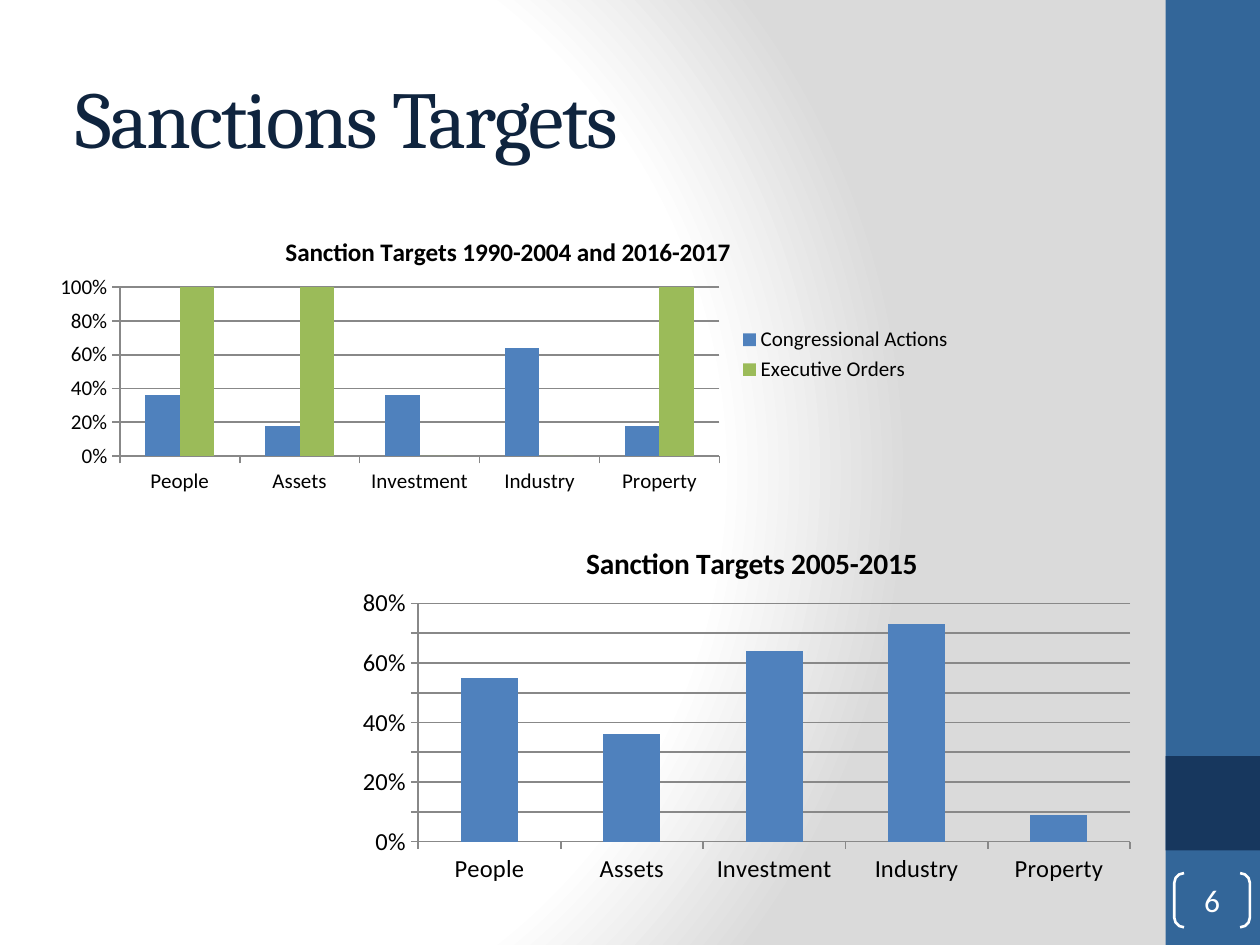
from dataclasses import dataclass

from lxml.etree import SubElement
from pptx import Presentation
from pptx.chart.data import CategoryChartData
from pptx.dml.color import RGBColor
from pptx.enum.chart import XL_CHART_TYPE, XL_LEGEND_POSITION, XL_TICK_MARK
from pptx.enum.shapes import MSO_SHAPE
from pptx.enum.text import MSO_ANCHOR, PP_ALIGN
from pptx.oxml import parse_xml
from pptx.oxml.ns import nsdecls, qn
from pptx.util import Inches, Pt


@dataclass(frozen=True)
class Theme:
    heading_font: str = "Cambria"
    body_font: str = "Calibri"
    heading: str = "0F243E"
    sidebar: str = "336699"
    sidebar_band: str = "17375E"
    text: str = "000000"
    white: str = "FFFFFF"
    shade: str = "DADADA"
    axis: str = "888888"
    blue: str = "4F81BD"
    green: str = "9BBB59"
    heading_size: float = 46
    number_size: float = 18
    chart_title_scale: float = 1.2


def color(value):
    return RGBColor.from_string(value)


def set_layout(parent, chart_area, left, top, width=None, height=None):
    """Place a chart part, given in slide inches, as fractions of the chart area."""
    area_left, area_top, area_width, area_height = chart_area
    layout = parent.find(qn("c:layout"))
    if layout is None:
        layout = parse_xml(f"<c:layout {nsdecls('c')}/>")
        text = parent.find(qn("c:tx"))
        if text is None:
            parent.insert(0, layout)
        else:
            text.addnext(layout)
    for child in list(layout):
        layout.remove(child)
    manual = SubElement(layout, qn("c:manualLayout"))
    values = {"xMode": "edge", "yMode": "edge",
              "x": (left - area_left) / area_width,
              "y": (top - area_top) / area_height}
    if width is not None:
        values = {"layoutTarget": "inner", **values,
                  "w": width / area_width, "h": height / area_height}
    for name, value in values.items():
        SubElement(manual, qn(f"c:{name}")).set("val", str(value))


class SlideBuilder:
    def __init__(self, slide, theme):
        self.slide = slide
        self.theme = theme

    def background(self):
        stops = [(0, self.theme.white), (75, self.theme.white), (100, self.theme.shade)]
        stop_xml = "".join(
            f'<a:gs pos="{position * 1000}"><a:srgbClr val="{value}"/></a:gs>'
            for position, value in stops)
        self.slide._element.cSld.insert(0, parse_xml(
            f'<p:bg {nsdecls("p", "a")}><p:bgPr><a:gradFill rotWithShape="1">'
            f'<a:gsLst>{stop_xml}</a:gsLst><a:path path="circle">'
            '<a:fillToRect l="20000" t="50000" r="100000" b="50000"/></a:path>'
            '</a:gradFill><a:effectLst/></p:bgPr></p:bg>'))

    def shape(self, kind, area, fill=None, line=None):
        shape = self.slide.shapes.add_shape(kind, *map(Inches, area))
        shape.shadow.inherit = False
        if fill:
            shape.fill.solid()
            shape.fill.fore_color.rgb = color(fill)
        else:
            shape.fill.background()
        if line:
            shape.line.color.rgb = color(line)
            shape.line.width = Pt(1.5)
        else:
            shape.line.fill.background()
        return shape

    def style_font(self, font, size, value=None, name=None, bold=False):
        font.size = Pt(size)
        font.color.rgb = color(value or self.theme.text)
        font.name = name or self.theme.body_font
        font.bold = bold

    def title(self, text, area):
        box = self.slide.shapes.add_textbox(*map(Inches, area))
        frame = box.text_frame
        frame.word_wrap = True
        frame.vertical_anchor = MSO_ANCHOR.MIDDLE
        frame.text = text
        span = frame.paragraphs[0].runs[0]
        self.style_font(span.font, self.theme.heading_size,
                        self.theme.heading, self.theme.heading_font)
        span.font._element.set("spc", "-100")

    def page_number(self, text, area):
        bracket = self.shape(MSO_SHAPE.DOUBLE_BRACKET, area, line=self.theme.white)
        bracket.adjustments[0] = 0.18
        frame = bracket.text_frame
        frame.margin_left = frame.margin_right = 0
        frame.margin_top = frame.margin_bottom = 0
        frame.vertical_anchor = MSO_ANCHOR.MIDDLE
        frame.text = text
        para = frame.paragraphs[0]
        para.alignment = PP_ALIGN.CENTER
        self.style_font(para.runs[0].font, self.theme.number_size, self.theme.white)

    def column_chart(self, title, categories, series, area, plot_area, title_at,
                     size, maximum, step, legend=False):
        data = CategoryChartData(number_format="0%")
        data.categories = categories
        for name, values, _ in series:
            data.add_series(name, values)
        chart = self.slide.shapes.add_chart(
            XL_CHART_TYPE.COLUMN_CLUSTERED, *map(Inches, area), data).chart
        self.style_font(chart.font, size)

        chart.has_title = True
        chart.chart_title.include_in_layout = False
        frame = chart.chart_title.text_frame
        frame.text = title
        self.style_font(frame.paragraphs[0].runs[0].font,
                        size * self.theme.chart_title_scale, bold=True)
        set_layout(chart.chart_title._element, area, *title_at)

        plot = chart.plots[0]
        plot.gap_width = 150
        plot.overlap = 0
        plot.vary_by_categories = False
        for column, (_, _, fill) in zip(plot.series, series):
            column.format.fill.solid()
            column.format.fill.fore_color.rgb = color(fill)
        set_layout(chart._chartSpace.chart.plotArea, area, *plot_area)

        value_axis = chart.value_axis
        value_axis.minimum_scale = 0
        value_axis.maximum_scale = maximum
        value_axis.major_unit = step
        value_axis.has_major_gridlines = True
        value_axis.tick_labels.number_format = "0%"
        value_axis.tick_labels.number_format_is_linked = False
        for axis in (chart.category_axis, value_axis):
            axis.major_tick_mark = XL_TICK_MARK.OUTSIDE
            self.style_font(axis.tick_labels.font, size)
        for part in (chart.category_axis, value_axis, value_axis.major_gridlines):
            part.format.line.color.rgb = color(self.theme.axis)
            part.format.line.width = Pt(1)

        chart.has_legend = legend
        if legend:
            chart.legend.position = XL_LEGEND_POSITION.RIGHT
            chart.legend.include_in_layout = False
            self.style_font(chart.legend.font, size)


def main():
    theme = Theme()
    deck = Presentation()
    deck.slide_width, deck.slide_height = Inches(10), Inches(7.5)
    builder = SlideBuilder(deck.slides.add_slide(deck.slide_layouts[6]), theme)

    builder.background()
    builder.shape(MSO_SHAPE.RECTANGLE, (9.25, 0, 0.75, 7.5), theme.sidebar)
    builder.shape(MSO_SHAPE.RECTANGLE, (9.25, 6, 0.75, 0.75), theme.sidebar_band)
    builder.title("Sanctions Targets", (0.5, 0.3, 8.33, 1.25))
    builder.page_number("6", (9.32, 6.93, 0.6, 0.43))

    targets = ["People", "Assets", "Investment", "Industry", "Property"]
    builder.column_chart(
        "Sanction Targets 2005-2015", targets,
        [("Series 1", (0.55, 0.36, 0.64, 0.73, 0.09), theme.blue)],
        area=(2.75, 4.08, 6.34, 3), plot_area=(3.32, 4.79, 5.65, 1.89),
        title_at=(4.61, 4.27), size=14, maximum=0.8, step=0.1)
    builder.column_chart(
        "Sanction Targets 1990-2004 and 2016-2017", targets,
        [("Congressional Actions", (0.36, 0.18, 0.36, 0.64, 0.18), theme.blue),
         ("Executive Orders", (1, 1, 0, 0, 1), theme.green)],
        area=(0.33, 1.67, 7.33, 2.29), plot_area=(0.95, 2.28, 4.76, 1.34),
        title_at=(2.23, 1.83), size=12, maximum=1, step=0.2, legend=True)

    deck.save("out.pptx")


if __name__ == "__main__":
    main()
